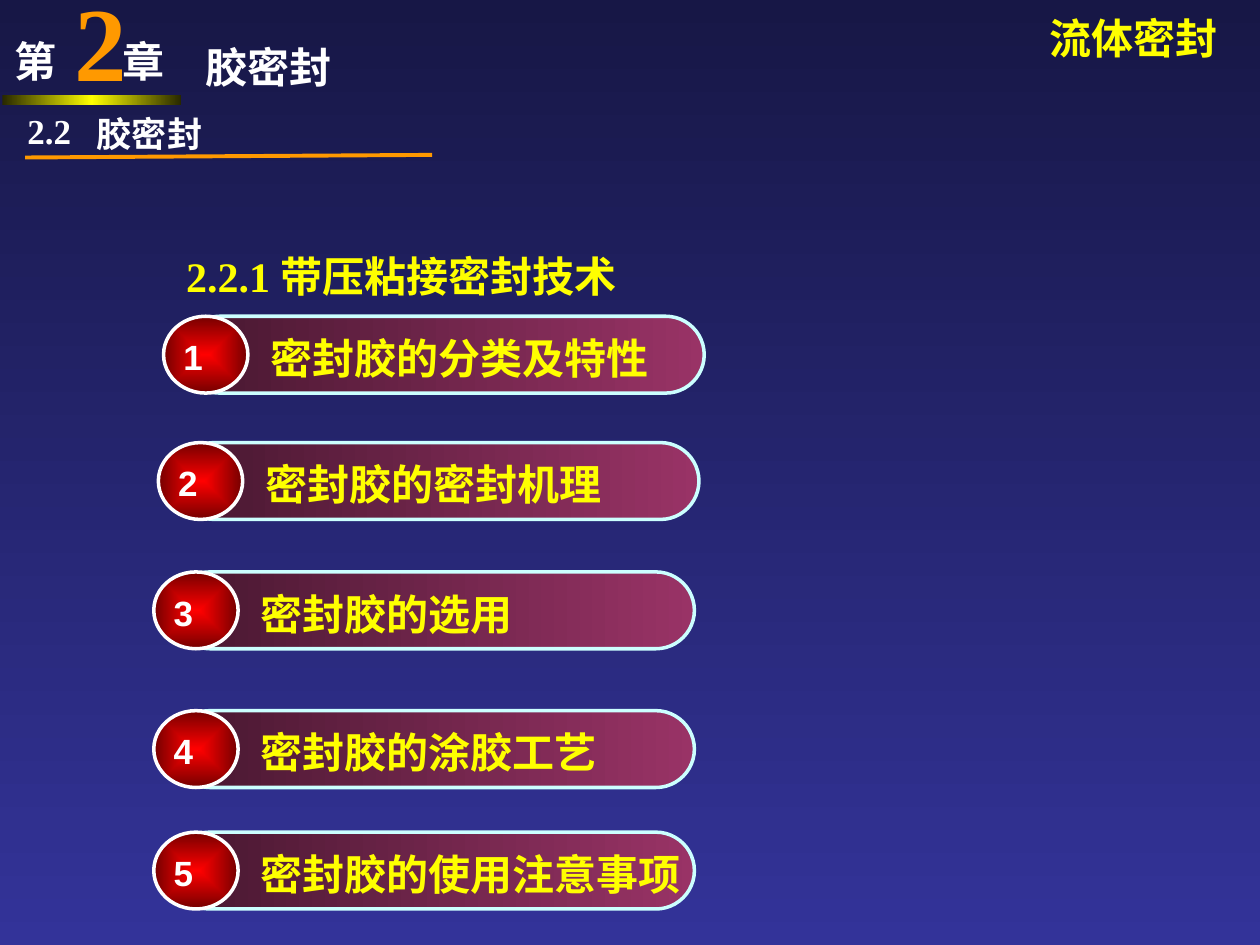
import pptx
import pptx.util
import pptx.dml.color
import pptx.enum.shapes
import pptx.enum.text
import pptx.oxml
import pptx.oxml.ns
from lxml import etree

Pt = pptx.util.Pt
qn = pptx.oxml.ns.qn
KIND = pptx.enum.shapes.MSO_SHAPE
SERIF, SANS, HAN = "Times New Roman", "Arial", "Noto Sans CJK SC"
WHITE, YELLOW, ORANGE = "FFFFFF", "FFFF00", "FF9900"


def color(code):
    return pptx.dml.color.RGBColor.from_string(code)


def blend(fill, owner, stops, angle=None):
    """Fill with (percent, colour) stops, along an angle or from the centre."""
    fill.gradient()
    grad = next(owner.iter(qn("a:gradFill")))
    for child in list(grad):
        grad.remove(child)
    rows = etree.SubElement(grad, qn("a:gsLst"))
    for place, code in stops:
        stop = etree.SubElement(rows, qn("a:gs"), pos=str(place * 1000))
        etree.SubElement(stop, qn("a:srgbClr"), val=code)
    if angle is not None:
        etree.SubElement(grad, qn("a:lin"), ang=str(angle * 60000), scaled="0")
    else:
        focus = etree.SubElement(grad, qn("a:path"))
        focus.set("path", "rect")
        etree.SubElement(focus, qn("a:fillToRect"),
                         l="50000", t="50000", r="50000", b="50000")


def write(shape, text, size, code, face=SERIF, inset=3.6, wrap=True, tab=None):
    frame = shape.text_frame
    frame.word_wrap = wrap
    frame.vertical_anchor = pptx.enum.text.MSO_ANCHOR.TOP
    if wrap:
        frame.auto_size = pptx.enum.text.MSO_AUTO_SIZE.SHAPE_TO_FIT_TEXT
    frame.margin_left = frame.margin_right = Pt(7.2)
    frame.margin_top = frame.margin_bottom = Pt(inset)
    frame.text = text
    para = frame.paragraphs[0]
    para.alignment = pptx.enum.text.PP_ALIGN.LEFT
    if tab:
        stops = etree.SubElement(para._p.get_or_add_pPr(), qn("a:tabLst"))
        etree.SubElement(stops, qn("a:tab"), pos=str(Pt(tab)), algn="l")
    for run in para.runs:
        font = run.font
        font.name, font.size, font.bold = face, Pt(size), True
        font.color.rgb = color(code)
        etree.SubElement(run._r.get_or_add_rPr(), qn("a:ea"), typeface=HAN)


def label(parts, box, *args, **more):
    write(parts.add_textbox(*map(Pt, box)), *args, **more)


def form(parts, kind, box, stops, angle=None, edge=None):
    shape = parts.add_shape(kind, *map(Pt, box))
    shape.shadow.inherit = False
    blend(shape.fill, shape._element, stops, angle)
    if edge:
        shape.line.color.rgb = color(edge)
        shape.line.width = Pt(2)
    else:
        shape.line.fill.background()
    return shape


def chapter(slide, x, y):
    """Chapter mark with its large number, bar and name."""
    parts = slide.shapes.add_group_shape().shapes
    label(parts, (x, y, 126, 36), "第\t章", 24, WHITE, tab=61.5)
    label(parts, (x + 34, y - 30.2, 66, 72), "2", 60, ORANGE, inset=0)
    form(parts, KIND.RECTANGLE, (x, y + 37.5, 102.2, 5.8),
         [(0, "282800"), (50, YELLOW), (100, "282800")], 180)
    label(slide.shapes, (x + 108.8, y + 3.6, 136, 36), "胶密封", 24, WHITE)


def section(slide, x, y):
    """Section number, title and the rule below them."""
    label(slide.shapes, (x, y, 77.8, 31.7), "2.2", 20, WHITE)
    title = slide.shapes.title
    title.left, title.top = Pt(x + 39.6), Pt(y + 1.4)
    title.width, title.height = Pt(198.7), Pt(31)
    write(title, "胶密封", 20, WHITE)
    rule = slide.shapes.add_connector(
        pptx.enum.shapes.MSO_CONNECTOR.STRAIGHT,
        Pt(x + 5.8), Pt(y + 31), Pt(x + 238.3), Pt(y + 29.5))
    rule.line.color.rgb = color(ORANGE)
    rule.line.width = Pt(2.25)
    etree.SubElement(rule._element.spPr, qn("a:effectLst"))


def topic(slide, x, y, number, text):
    """Numbered pill."""
    parts = slide.shapes.add_group_shape().shapes
    pill = form(parts, KIND.ROUNDED_RECTANGLE, (x + 10.1, y, 298.8, 43.9),
                [(0, "993366"), (100, "46172F")], 180, "CCFFFF")
    pill.adjustments[0] = 0.5
    form(parts, KIND.OVAL, (x, y, 48.2, 43.9),
         [(0, "FF0000"), (100, "750000")], edge=WHITE)
    label(parts, (x + 4.2, y + 7.5, 78.5, 31.7), str(number), 20, WHITE, SANS)
    label(parts, (x + 54, y + 5.7, 266.4, 36), text, 24, YELLOW)


def main():
    deck = pptx.Presentation()
    deck.slide_width, deck.slide_height = Pt(720), Pt(540)
    slide = deck.slides.add_slide(deck.slide_layouts[5])
    blend(slide.background.fill, slide._element,
          [(0, "171746"), (100, "333399")], 90)

    # Header
    chapter(slide, 1.4, 16.5)
    label(slide.shapes, (592.6, 3.6, 113, 34), "流体密封", 24, YELLOW, HAN,
          wrap=False)
    section(slide, 8.6, 59)

    # Topics
    label(slide.shapes, (99.3, 139.7, 278, 36), "2.2.1 带压粘接密封技术",
          24, YELLOW)
    topics = [
        (93.5, 180.7, "密封胶的分类及特性"),
        (90.5, 252.9, "密封胶的密封机理"),
        (87.9, 326.8, "密封胶的选用"),
        (87.9, 406.1, "密封胶的涂胶工艺"),
        (87.9, 475.5, "密封胶的使用注意事项"),
    ]
    for number, (x, y, text) in enumerate(topics, 1):
        topic(slide, x, y, number, text)

    deck.save("out.pptx")


if __name__ == "__main__":
    main()
